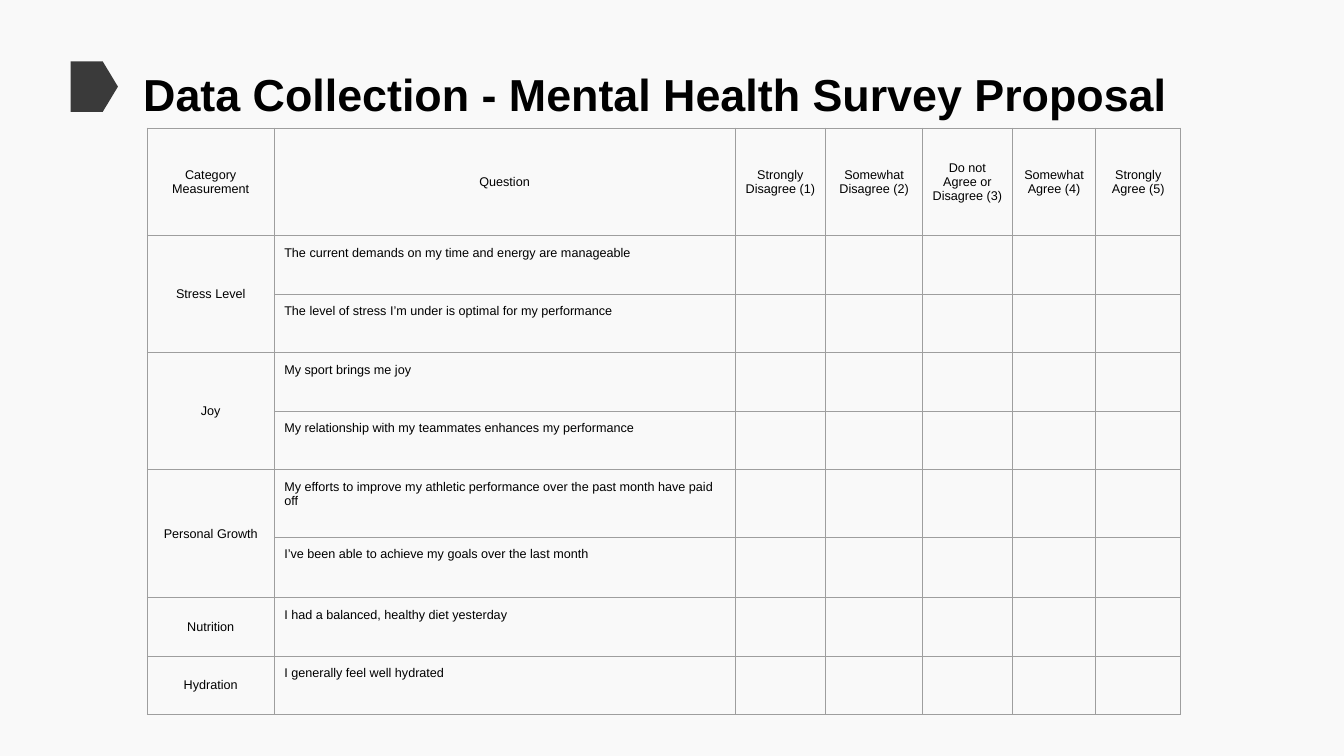
from dataclasses import dataclass

from lxml import etree
from pptx import Presentation
from pptx import util as u
from pptx.dml.color import RGBColor
from pptx.enum import shapes, text
from pptx.oxml import ns

PX = 9144


@dataclass(frozen=True)
class Theme:
    font: str = "Arial"
    background: str = "F9F9F9"
    ink: str = "000000"
    marker: str = "3A3A3A"
    grid: str = "9E9E9E"
    title_size: int = 32
    table_size: int = 9
    grid_width: float = 0.75


@dataclass(frozen=True)
class Box:
    left: int
    top: int
    width: int
    height: int

    def emu(self) -> list[u.Emu]:
        return [px(n) for n in (self.left, self.top, self.width, self.height)]


@dataclass(frozen=True)
class Category:
    name: str
    questions: tuple[str, ...]


THEME = Theme()
MARKER = Box(70, 61, 47, 50)
TITLE = Box(132, 61, 1072, 90)
TABLE = Box(146, 127, 1026, 583)
CELL_MARGIN = 10
COLUMNS = (126, 457, 90, 96, 89, 83, 84)
ROWS = (107, 58, 58, 58, 58, 67, 60, 58, 58)
HEADERS = (
    "Category Measurement",
    "Question",
    "Strongly Disagree (1)",
    "Somewhat Disagree (2)",
    "Do not Agree or Disagree (3)",
    "Somewhat Agree (4)",
    "Strongly Agree (5)",
)
CATEGORIES = (
    Category("Stress Level", (
        "The current demands on my time and energy are manageable",
        "The level of stress I’m under is optimal for my performance",
    )),
    Category("Joy", (
        "My sport brings me joy",
        "My relationship with my teammates enhances my performance",
    )),
    Category("Personal Growth", (
        "My efforts to improve my athletic performance over the past month have paid off",
        "I’ve been able to achieve my goals over the last month",
    )),
    Category("Nutrition", ("I had a balanced, healthy diet yesterday",)),
    Category("Hydration", ("I generally feel well hydrated",)),
)


def px(n: int) -> u.Emu:
    return u.Emu(n * PX)


def rgb(value: str) -> RGBColor:
    return RGBColor.from_string(value)


def write(tf, words: str, size: int, align, bold: bool = False) -> None:
    p = tf.paragraphs[0]
    p.alignment = align
    r = p.add_run()
    r.text = words
    r.font.name = THEME.font
    r.font.size = u.Pt(size)
    r.font.bold = bold
    r.font.color.rgb = rgb(THEME.ink)


def draw_marker(s) -> None:
    sp = s.shapes.add_shape(shapes.MSO_SHAPE.PENTAGON, *MARKER.emu())
    sp.adjustments[0] = 0.32
    sp.shadow.inherit = False
    sp.fill.solid()
    sp.fill.fore_color.rgb = rgb(THEME.marker)
    sp.line.fill.background()


def draw_title(s) -> None:
    sp = s.shapes.title
    sp.left, sp.top, sp.width, sp.height = TITLE.emu()
    tf = sp.text_frame
    tf.word_wrap = True
    tf.auto_size = text.MSO_AUTO_SIZE.NONE
    tf.vertical_anchor = text.MSO_ANCHOR.TOP
    write(tf, "Data Collection - Mental Health Survey Proposal",
          THEME.title_size, text.PP_ALIGN.LEFT, bold=True)


def format_cell(cell) -> None:
    tc_pr = cell._tc.get_or_add_tcPr()
    for side in ("lnL", "lnR", "lnT", "lnB"):
        ln = etree.SubElement(tc_pr, ns.qn(f"a:{side}"), w=str(u.Pt(THEME.grid_width)))
        fill = etree.SubElement(ln, ns.qn("a:solidFill"))
        etree.SubElement(fill, ns.qn("a:srgbClr"), val=THEME.grid)
    cell.fill.background()
    cell.margin_left = cell.margin_right = px(CELL_MARGIN)
    cell.margin_top = cell.margin_bottom = px(CELL_MARGIN)


def write_label(cell, words: str) -> None:
    cell.vertical_anchor = text.MSO_ANCHOR.MIDDLE
    write(cell.text_frame, words, THEME.table_size, text.PP_ALIGN.CENTER)


def draw_survey(s) -> None:
    table = s.shapes.add_table(len(ROWS), len(COLUMNS), *TABLE.emu()).table
    table.first_row = table.horz_banding = False
    for column, width in zip(table.columns, COLUMNS):
        column.width = px(width)
    for row, height in zip(table.rows, ROWS):
        row.height = px(height)
    for cell in table.iter_cells():
        format_cell(cell)
    for i, header in enumerate(HEADERS):
        write_label(table.cell(0, i), header)
    first = 1
    for category in CATEGORIES:
        last = first + len(category.questions) - 1
        if last > first:
            table.cell(first, 0).merge(table.cell(last, 0))
        write_label(table.cell(first, 0), category.name)
        for i, question in enumerate(category.questions, first):
            write(table.cell(i, 1).text_frame, question,
                  THEME.table_size, text.PP_ALIGN.LEFT)
        first = last + 1


def main() -> None:
    prs = Presentation()
    prs.slide_width, prs.slide_height = px(1333), px(750)
    s = prs.slides.add_slide(prs.slide_layouts[5])
    s.background.fill.solid()
    s.background.fill.fore_color.rgb = rgb(THEME.background)
    draw_marker(s)
    draw_title(s)
    draw_survey(s)
    prs.save("out.pptx")


if __name__ == "__main__":
    main()
